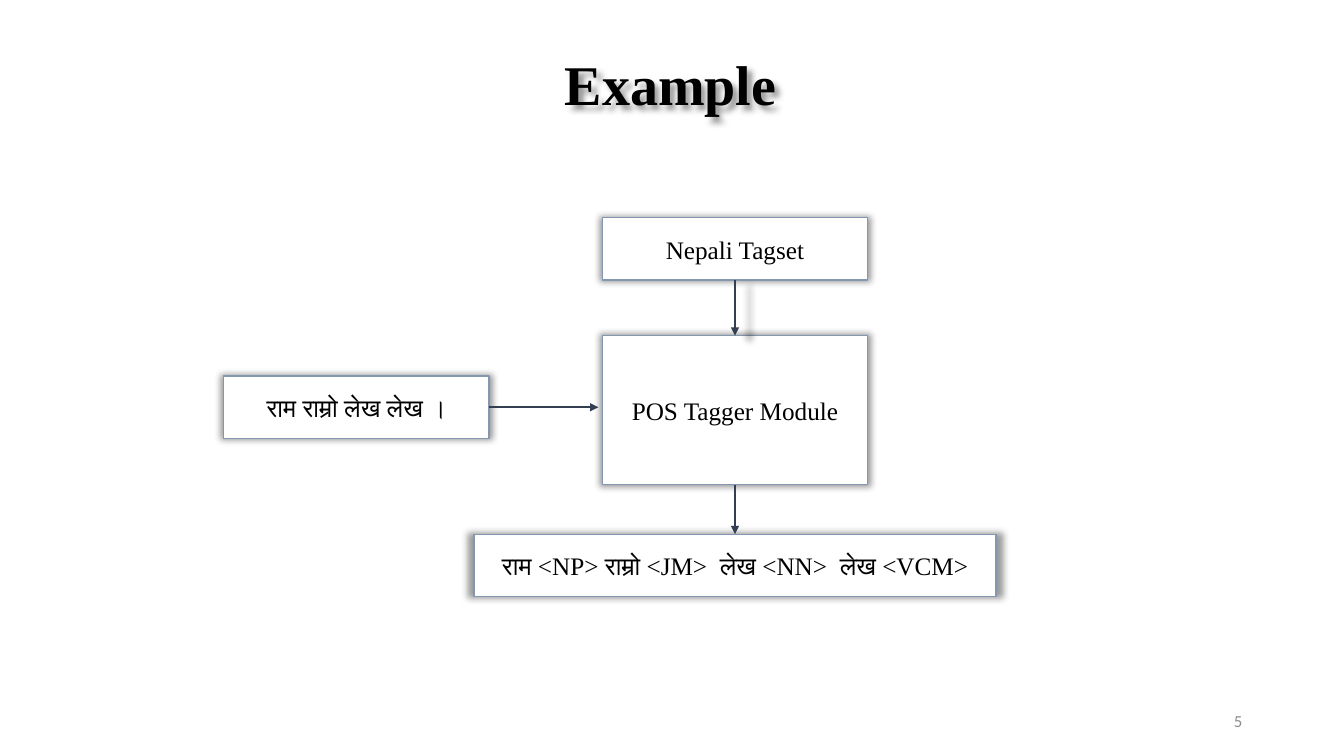
from lxml.etree import SubElement
from pptx import Presentation
from pptx.dml.color import RGBColor
from pptx.enum.shapes import MSO_CONNECTOR as Connector, MSO_SHAPE as Shape
from pptx.enum.text import MSO_ANCHOR as Anchor, PP_ALIGN as Align
from pptx.oxml.ns import qn
from pptx.util import Inches, Pt

SERIF = "Times New Roman"
BOX_WIDTH, BOX_HEIGHT = 2.63, 0.62
CENTRE = 7.29  # shared axis of the vertical flow


def colour(value):
    """Turn a hex string into a colour."""
    return RGBColor.from_string(value)


def set_shadow(item, blur=0, distance=0, angle=0, scale=100):
    """Replace the theme's effects; a blur of zero leaves no shadow."""
    effects = SubElement(item._element.spPr, qn("a:effectLst"))
    if blur:
        shadow = SubElement(
            effects, qn("a:outerShdw"), blurRad=str(Pt(blur)), dist=str(Pt(distance)),
            dir=str(angle * 60000), sx=str(scale * 1000), sy=str(scale * 1000),
            algn="ctr", rotWithShape="0")
        tone = SubElement(shadow, qn("a:srgbClr"), val="000000")
        SubElement(tone, qn("a:alpha"), val="40000")


def write(item, text, size, align, font=SERIF, tint="000000", bold=False,
          anchor=Anchor.MIDDLE):
    """Fill a shape or text box with one formatted paragraph."""
    frame = item.text_frame
    frame.word_wrap = True
    frame.vertical_anchor = anchor
    para = frame.paragraphs[0]
    para.text = text
    para.alignment = align
    para.font.name = font
    para.font.size = Pt(size)
    para.font.bold = bold
    para.font.color.rgb = colour(tint)


def add_label(page, box, text, size, align, **style):
    """Place a text box at left, top, width, height."""
    label = page.shapes.add_textbox(*map(Inches, box))
    write(label, text, size, align, **style)
    return label


def add_node(page, box, text):
    """Place one shadowed box of the flow."""
    node = page.shapes.add_shape(Shape.RECTANGLE, *map(Inches, box))
    node.fill.solid()
    node.fill.fore_color.rgb = colour("FFFFFF")
    node.line.color.rgb = colour("8497B0")
    node.line.width = Pt(1)
    set_shadow(node, blur=5, scale=102)
    write(node, text, 18, Align.CENTER)


def add_arrow(page, start, end, **shadow):
    """Draw an arrow from start to end."""
    arrow = page.shapes.add_connector(
        Connector.STRAIGHT, *map(Inches, (*start, *end)))
    arrow.line.color.rgb = colour("333F50")
    arrow.line.width = Pt(1.5)
    SubElement(arrow.line._get_or_add_ln(), qn("a:tailEnd"), type="triangle")
    set_shadow(arrow, **shadow)


def add_flow(page, left, top):
    """Lay out the tagging flow from its top left corner."""
    axis = CENTRE - BOX_WIDTH / 2
    module_top, module_height = top + 1.17, 1.48
    module_bottom = module_top + module_height
    output_top, output_width = top + 3.14, 5.18
    input_top = top + 1.57
    input_right, input_middle = left + BOX_WIDTH, input_top + BOX_HEIGHT / 2

    add_node(page, (axis, top, BOX_WIDTH, BOX_HEIGHT), "Nepali Tagset")
    add_node(page, (axis, module_top, BOX_WIDTH, module_height), "POS Tagger Module")
    add_node(page, (CENTRE - output_width / 2, output_top, output_width, BOX_HEIGHT),
             "राम <NP> राम्रो <JM>\u00a0 लेख <NN>\u00a0 लेख <VCM>")
    add_node(page, (left, input_top, BOX_WIDTH, BOX_HEIGHT), "राम राम्रो लेख लेख ।")

    add_arrow(page, (CENTRE, top + BOX_HEIGHT), (CENTRE, module_top), blur=5, scale=102)
    add_arrow(page, (input_right, input_middle), (axis - 0.04, input_middle))
    add_arrow(page, (CENTRE, module_bottom), (CENTRE, output_top))


def build_slide(deck):
    """Build the example slide."""
    page = deck.slides.add_slide(deck.slide_layouts[6])
    add_flow(page, 2.22, 2.16)
    title = add_label(page, (0.84, 0.44, 11.62, 0.77), "Example", 40, Align.CENTER,
                      bold=True, anchor=Anchor.TOP)
    set_shadow(title, blur=4, distance=4, angle=45)
    add_label(page, (9.42, 6.95, 3, 0.4), "5", 12, Align.RIGHT,
              font="Calibri", tint="8C8C8C")


deck = Presentation()
deck.slide_width, deck.slide_height = Inches(13.33), Inches(7.5)
build_slide(deck)
deck.save("out.pptx")
